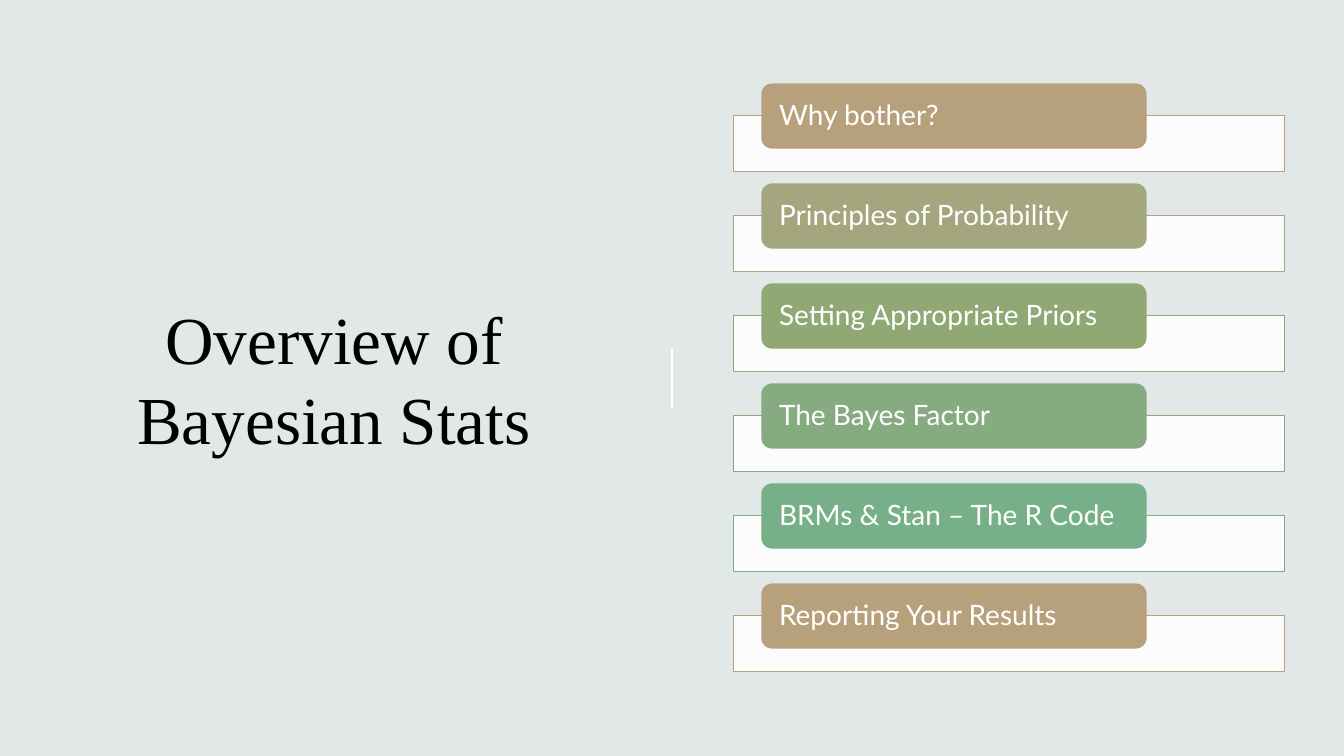
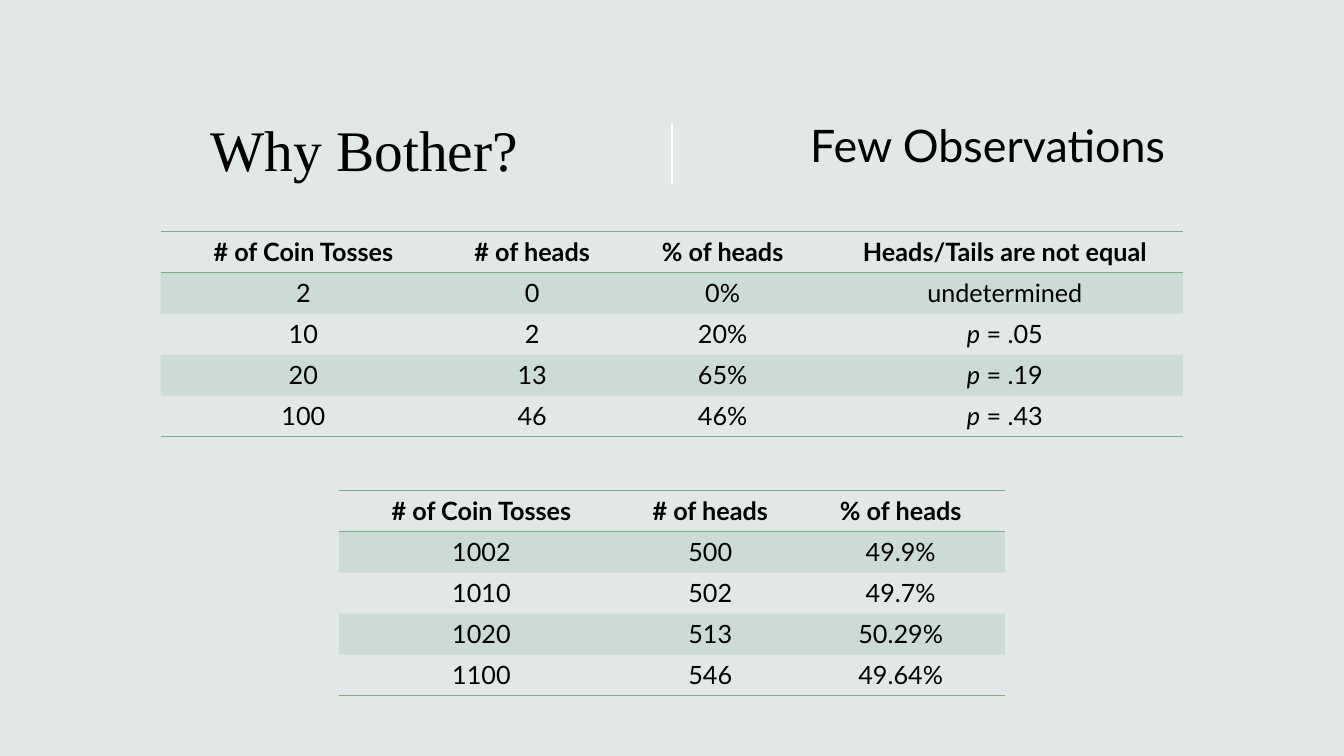
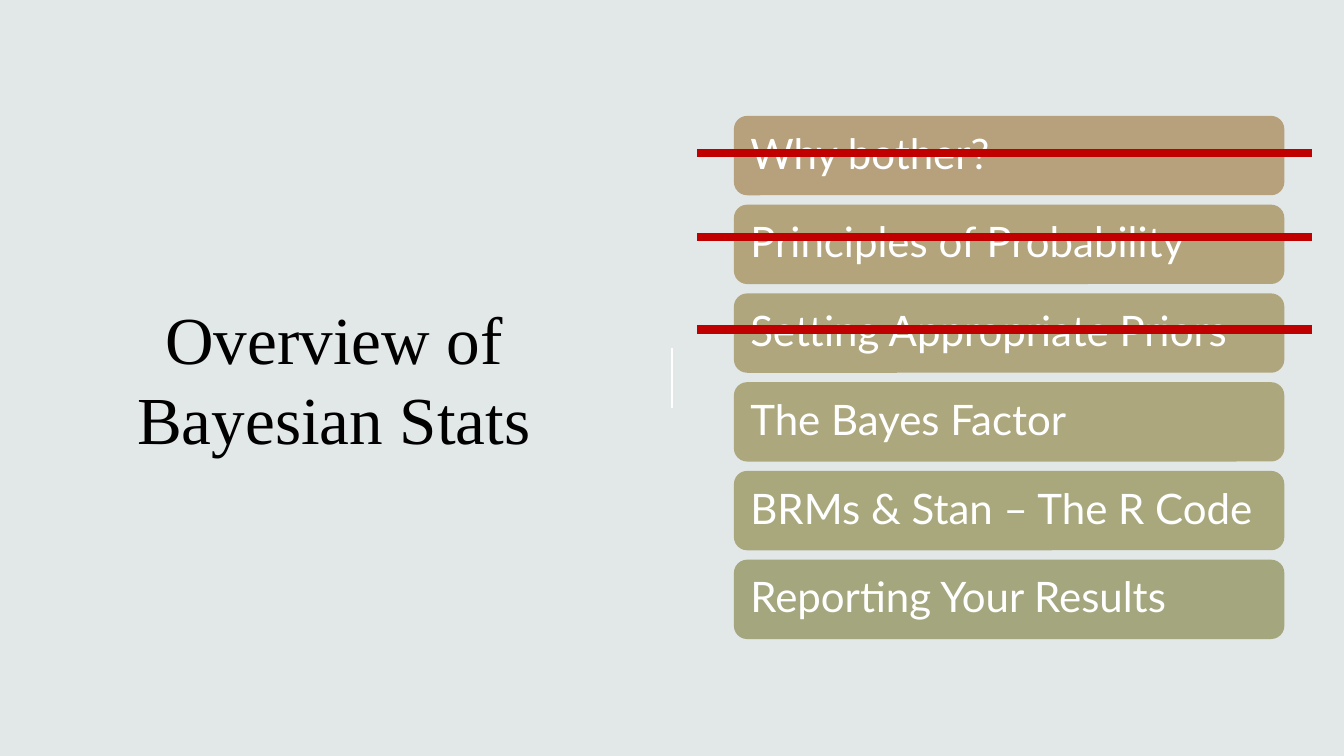
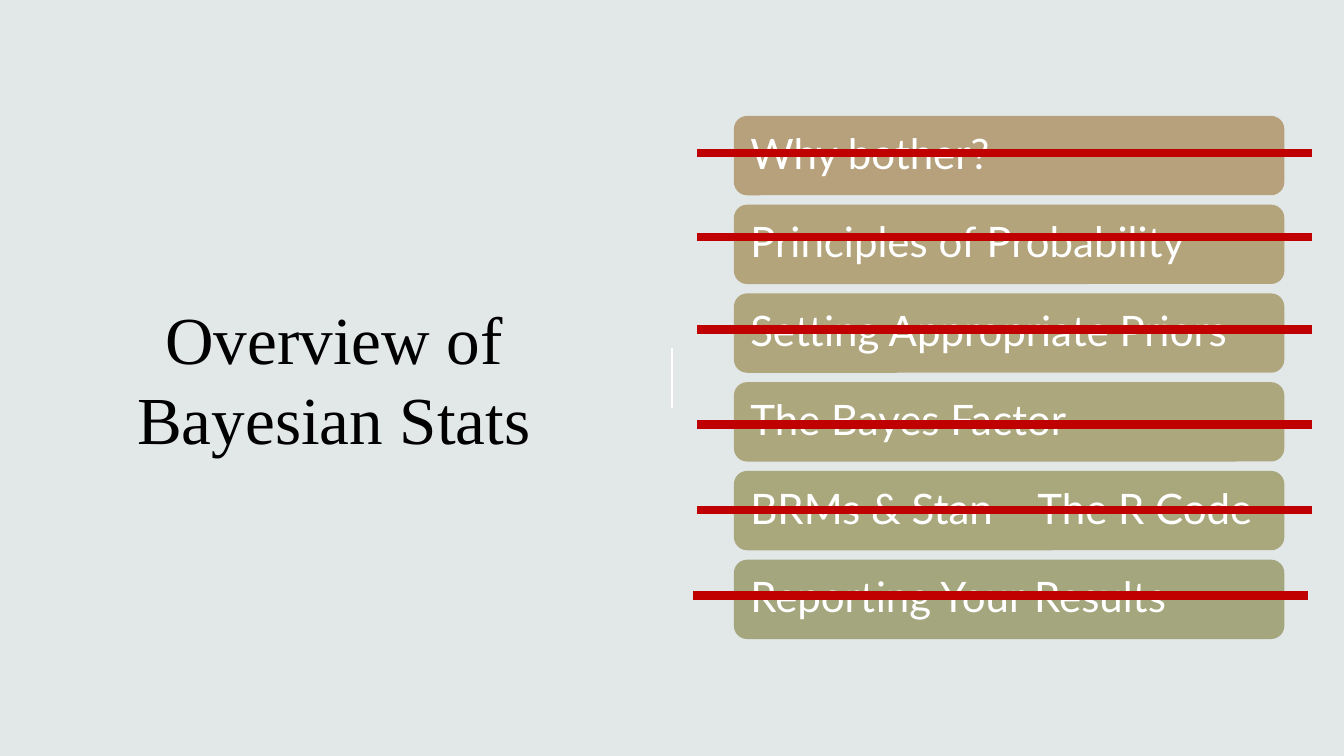
from dataclasses import dataclass
from typing import NamedTuple

from lxml import etree
from pptx import Presentation
from pptx.dml.color import RGBColor
from pptx.enum.shapes import MSO_CONNECTOR, MSO_SHAPE
from pptx.enum.text import MSO_ANCHOR, MSO_AUTO_SIZE, PP_ALIGN
from pptx.oxml.ns import qn
from pptx.util import Pt

STRAIGHT = MSO_CONNECTOR.STRAIGHT
RECTANGLE = MSO_SHAPE.RECTANGLE
ROUNDED = MSO_SHAPE.ROUNDED_RECTANGLE
TOP, MIDDLE = MSO_ANCHOR.TOP, MSO_ANCHOR.MIDDLE
FIT_SHAPE = MSO_AUTO_SIZE.SHAPE_TO_FIT_TEXT
LEFT, CENTER = PP_ALIGN.LEFT, PP_ALIGN.CENTER
NO_GRID_STYLE = "{2D5ABB26-0587-4C30-8999-92F81FD0307C}"


@dataclass(frozen=True)
class Theme:
    background: str = "E2E7E8"
    ink: str = "000000"
    paper: str = "FFFFFF"
    accent: str = "77AF88"
    strike: str = "C00000"
    tab_colors: tuple = ("B6A17C", "A4A67E", "90A974", "86AB81", "77AF88", "B6A17C")
    bar_colors: tuple = ("B6A17C", "B3A47C", "B0A67D", "ADA77D", "A9A87D", "A4A67E")
    title_font: str = "Times New Roman"
    body_font: str = "Lato"
    title_size: float = 48
    short_title_size: float = 41
    subtitle_size: float = 32
    bar_size: float = 30
    tab_size: float = 20
    table_size: float = 18


class Box(NamedTuple):
    left: float
    top: float
    width: float
    height: float

    def points(self):
        return [Pt(value) for value in self]


THEME = Theme()
SLIDE_WIDTH, SLIDE_HEIGHT = 960, 540
TOPICS = ("Why bother?", "Principles of Probability", "Setting Appropriate Priors",
          "The Bayes Factor", "BRMs & Stan – The R Code", "Reporting Your Results")
TITLE_BOX = Box(85, 85, 307.4, 369.4)
TOPICS_BOX = Box(524.2, 82.8, 393.2, 397.2)
# Left and top of each strike, relative to the topics box
STRIKES = ((-26, 26.6), (-26, 86.4), (-26, 152.6),
           (-26, 220.3), (-26, 281.5), (-28.9, 342.7))
STRIKE_LENGTH = 439.2
COLUMN_WIDTHS = (203.8, 123.1, 149, 254.2)
ROW_HEIGHT = 29.28
FEW_TOSSES = (
    ("# of Coin Tosses", "# of heads", "% of heads", "Heads/Tails are not equal"),
    ("2", "0", "0%", "undetermined"),
    ("10", "2", "20%", "p = .05"),
    ("20", "13", "65%", "p = .19"),
    ("100", "46", "46%", "p = .43"),
)
MANY_TOSSES = (
    ("# of Coin Tosses", "# of heads", "% of heads"),
    ("1002", "500", "49.9%"),
    ("1010", "502", "49.7%"),
    ("1020", "513", "50.29%"),
    ("1100", "546", "49.64%"),
)


# Shared helpers
def color(value):
    return RGBColor.from_string(value)


def set_all(target, values):
    for name, value in values.items():
        setattr(target, name, value)


def set_opacity(properties, percent):
    fill_color = properties.find(qn("a:solidFill")).find(qn("a:srgbClr"))
    etree.SubElement(fill_color, qn("a:alpha"), val=str(percent * 1000))


def add_span(para, text, size, ink, font, **style):
    span = para.add_run()
    span.text = text
    set_all(span.font, {"name": font, "size": Pt(size), **style})
    span.font.color.rgb = color(ink)


def write(frame, text, size, ink, font, align=LEFT, spacing=1.0, anchor=MIDDLE,
          side=7.2, edge=3.6, wrap=True):
    set_all(frame, {"word_wrap": wrap, "vertical_anchor": anchor,
                    "margin_left": Pt(side), "margin_right": Pt(side),
                    "margin_top": Pt(edge), "margin_bottom": Pt(edge)})
    para = frame.paragraphs[0]
    set_all(para, {"alignment": align, "line_spacing": spacing})
    add_span(para, text, size, ink, font)


def add_panel(page, kind, box, fill, line=None):
    panel = page.shapes.add_shape(kind, *box.points())
    panel.shadow.inherit = False
    panel.fill.solid()
    panel.fill.fore_color.rgb = color(fill)
    if line:
        panel.line.color.rgb = color(line)
        panel.line.width = Pt(0.75)
    else:
        panel.line.fill.background()
    return panel


def add_line(page, start, end, ink, width):
    line = page.shapes.add_connector(STRAIGHT, *[Pt(value) for value in (*start, *end)])
    line.line.color.rgb = color(ink)
    line.line.width = Pt(width)
    etree.SubElement(line.element.spPr, qn("a:effectLst"))


def add_title(page, box, text, size, spacing=1.0):
    title = page.shapes.add_textbox(*box.points())
    write(title.text_frame, text, size, THEME.ink, THEME.title_font, CENTER, spacing)


def add_divider(page, top):
    middle = SLIDE_WIDTH / 2
    add_line(page, (middle, top), (middle, top + 43), THEME.paper, 1)


# Topic lists
def add_tabs(page, box):
    pitch = 71.43
    for index, (topic, fill) in enumerate(zip(TOPICS, THEME.tab_colors)):
        top = box.top + index * pitch
        strip = add_panel(page, RECTANGLE, Box(box.left, top, box.width, 39.8),
                          THEME.paper, fill)
        set_opacity(strip.element.spPr, 90)
        tab = add_panel(page, ROUNDED,
                        Box(box.left + 19.6, top - 23.2, box.width * 0.7, 46.6), fill)
        write(tab.text_frame, topic, THEME.tab_size, THEME.paper, THEME.body_font,
              spacing=0.9, side=10.4, edge=0)


def add_bars(page, box):
    pitch = 63.4
    for index, (topic, fill) in enumerate(zip(TOPICS, THEME.bar_colors)):
        bar = add_panel(page, ROUNDED,
                        Box(box.left, box.top + index * pitch, box.width, 56.7), fill)
        write(bar.text_frame, topic, THEME.bar_size, THEME.paper, THEME.body_font,
              spacing=0.9, side=9, edge=8.6)


def add_strikes(page, box, count):
    for left, top in STRIKES[:count]:
        start = (box.left + left, box.top + top)
        end = (start[0] + STRIKE_LENGTH, start[1])
        add_line(page, start, end, THEME.strike, 6)


# Tables
def add_cell_rule(properties, side):
    rule = etree.SubElement(properties, qn(f"a:{side}"), w=str(Pt(1)))
    fill = etree.SubElement(rule, qn("a:solidFill"))
    etree.SubElement(fill, qn("a:srgbClr"), val=THEME.accent)


def fill_cell(cell, text, row, last_row):
    para = cell.text_frame.paragraphs[0]
    para.alignment = CENTER
    style = {"size": THEME.table_size, "ink": THEME.ink, "font": THEME.body_font,
             "bold": row == 0}
    if text.startswith("p ="):
        add_span(para, "p", italic=True, **style)
        text = text[1:]
    add_span(para, text, **style)
    # Rules come before the fill in the cell properties
    properties = cell._tc.get_or_add_tcPr()
    if row == 0:
        add_cell_rule(properties, "lnT")
    if row in (0, last_row):
        add_cell_rule(properties, "lnB")
    if row % 2:
        cell.fill.solid()
        cell.fill.fore_color.rgb = color(THEME.accent)
        set_opacity(properties, 20)
    else:
        cell.fill.background()


def add_toss_table(page, left, top, rows):
    widths = COLUMN_WIDTHS[:len(rows[0])]
    box = Box(left, top, sum(widths), ROW_HEIGHT * len(rows))
    frame = page.shapes.add_table(len(rows), len(widths), *box.points())
    frame.element.xpath(".//a:tableStyleId")[0].text = NO_GRID_STYLE
    table = frame.table
    set_all(table, {"first_row": False, "horz_banding": False})
    for column, width in zip(table.columns, widths):
        column.width = Pt(width)
    for row, texts in enumerate(rows):
        table.rows[row].height = Pt(ROW_HEIGHT)
        for column, text in enumerate(texts):
            fill_cell(table.cell(row, column), text, row, len(rows) - 1)


# Slides
def add_page(deck):
    return deck.slides.add_slide(deck.slide_layouts[6])


def add_overview(deck, add_topics, strike_count=0):
    page = add_page(deck)
    add_title(page, TITLE_BOX, "Overview of Bayesian Stats", THEME.title_size)
    add_divider(page, 248.5)
    add_topics(page, TOPICS_BOX)
    add_strikes(page, TOPICS_BOX, strike_count)


def add_observations(deck):
    page = add_page(deck)
    add_title(page, Box(85, 41.8, 350.6, 135.4), "Why Bother?",
              THEME.short_title_size, 0.9)
    add_divider(page, 88.4)
    subtitle = page.shapes.add_textbox(*Box(571.7, 80.6, 277.9, 46).points())
    write(subtitle.text_frame, "Few Observations", THEME.subtitle_size, THEME.ink,
          THEME.body_font, anchor=TOP, wrap=False)
    subtitle.text_frame.auto_size = FIT_SHAPE
    add_toss_table(page, 114.8, 165.6, FEW_TOSSES)
    add_toss_table(page, 242, 350.6, MANY_TOSSES)


def main():
    deck = Presentation()
    set_all(deck, {"slide_width": Pt(SLIDE_WIDTH), "slide_height": Pt(SLIDE_HEIGHT)})
    backdrop = deck.slide_master.background.fill
    backdrop.solid()
    backdrop.fore_color.rgb = color(THEME.background)
    add_overview(deck, add_tabs)
    add_observations(deck)
    add_overview(deck, add_bars, strike_count=3)
    add_overview(deck, add_bars, strike_count=6)
    deck.save("out.pptx")


if __name__ == "__main__":
    main()
